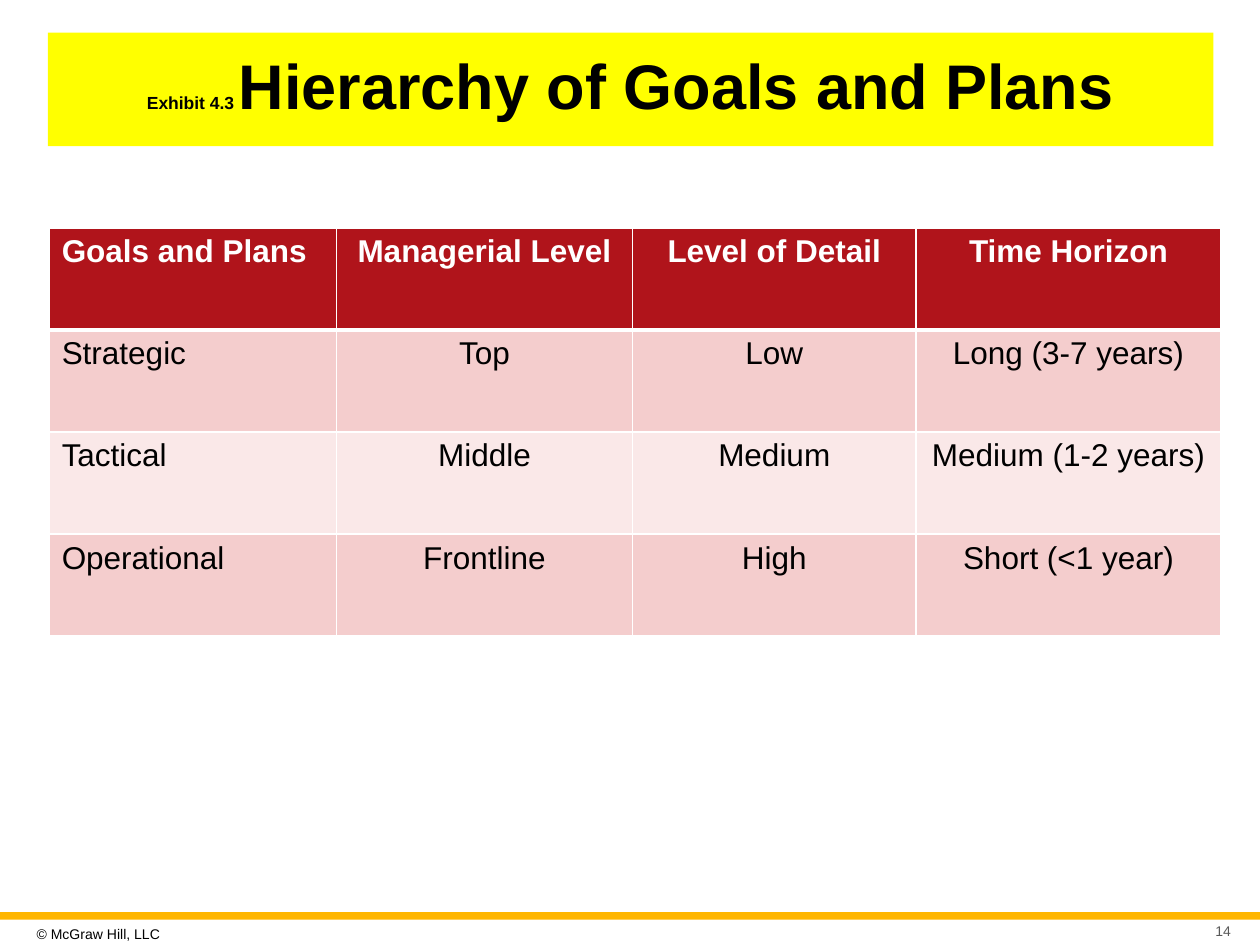
from lxml import etree
from pptx import Presentation
from pptx.dml.color import RGBColor
from pptx.enum.shapes import MSO_SHAPE
from pptx.enum.text import MSO_ANCHOR, MSO_AUTO_SIZE, PP_ALIGN
from pptx.oxml.ns import qn
from pptx.util import Emu, Pt

PX = 9144
TITLE_ONLY = 5
RECTANGLE = MSO_SHAPE.RECTANGLE
MIDDLE = MSO_ANCHOR.MIDDLE
NO_AUTOFIT = MSO_AUTO_SIZE.NONE
LEFT, CENTER, RIGHT = PP_ALIGN.LEFT, PP_ALIGN.CENTER, PP_ALIGN.RIGHT

FONT = "Arial"
BLACK = RGBColor(0x00, 0x00, 0x00)
WHITE = RGBColor(0xFF, 0xFF, 0xFF)
GRAY = RGBColor(0x59, 0x59, 0x59)
YELLOW = RGBColor(0xFF, 0xFF, 0x00)
GOLD = RGBColor(0xFF, 0xB6, 0x00)
HEADER_RED = RGBColor(0xB0, 0x14, 0x1B)
PINK = RGBColor(0xF4, 0xCD, 0xCD)
PALE_PINK = RGBColor(0xFA, 0xE8, 0xE8)

COLUMN_WIDTHS = [228, 235, 225, 242]
ROW_HEIGHT = 81
GOALS_AND_PLANS = [
    ["Goals and Plans", "Managerial Level", "Level of Detail", "Time Horizon"],
    ["Strategic", "Top", "Low", "Long (3-7 years)"],
    ["Tactical", "Middle", "Medium", "Medium (1-2 years)"],
    ["Operational", "Frontline", "High", "Short (<1 year)"],
]


def px(length):
    """Turn a length in px into EMU."""
    return Emu(length * PX)


def add_text(paragraph, text, size=18, color=BLACK, bold=False, align=LEFT):
    """Append a formatted run to a paragraph."""
    paragraph.alignment = align
    run = paragraph.add_run()
    run.text = text
    run.font.name = FONT
    run.font.size = Pt(size)
    run.font.bold = bold
    run.font.color.rgb = color


def add_label(slide, left, top, width, height, text, **text_format):
    """Add a small one-line text box."""
    label = slide.shapes.add_textbox(px(left), px(top), px(width), px(height))
    frame = label.text_frame
    frame.word_wrap = True
    frame.vertical_anchor = MIDDLE
    frame.margin_left = frame.margin_right = px(5)
    frame.margin_top = frame.margin_bottom = px(5)
    add_text(frame.paragraphs[0], text, **text_format)


def add_title(slide, left, top, width, height):
    """Place the title placeholder as a yellow band."""
    title = slide.shapes.title
    title.left, title.top = px(left), px(top)
    title.width, title.height = px(width), px(height)
    title.fill.solid()
    title.fill.fore_color.rgb = YELLOW
    frame = title.text_frame
    frame.word_wrap = True
    frame.auto_size = NO_AUTOFIT
    frame.vertical_anchor = MIDDLE
    paragraph = frame.paragraphs[0]
    paragraph.line_spacing = 0.9
    add_text(paragraph, "Exhibit 4.3 ", size=10, bold=True, align=CENTER)
    add_text(paragraph, "Hierarchy of Goals and Plans", size=36, bold=True, align=CENTER)


def set_borders(cell, **widths):
    """Draw white cell borders with the given widths in points."""
    properties = cell._tc.get_or_add_tcPr()
    for side in ("lnL", "lnR", "lnT", "lnB"):
        line = etree.SubElement(properties, qn(f"a:{side}"), w=str(Pt(widths.get(side, 1))))
        fill = etree.SubElement(line, qn("a:solidFill"))
        etree.SubElement(fill, qn("a:srgbClr"), val=str(WHITE))


def add_goals_table(slide, left, top):
    """Add the table of goals and plans with its header and banded rows."""
    row_count, column_count = len(GOALS_AND_PLANS), len(COLUMN_WIDTHS)
    table = slide.shapes.add_table(
        row_count, column_count, px(left), px(top),
        px(sum(COLUMN_WIDTHS)), px(ROW_HEIGHT * row_count),
    ).table
    for column, width in zip(table.columns, COLUMN_WIDTHS):
        column.width = px(width)
    for row_index, texts in enumerate(GOALS_AND_PLANS):
        table.rows[row_index].height = px(ROW_HEIGHT)
        is_header = row_index == 0
        band = PINK if row_index % 2 else PALE_PINK
        for column_index, text in enumerate(texts):
            cell = table.cell(row_index, column_index)
            set_borders(cell, lnT=3 if row_index == 1 else 1, lnB=3 if is_header else 1)
            cell.fill.solid()
            cell.fill.fore_color.rgb = HEADER_RED if is_header else band
            add_text(
                cell.text_frame.paragraphs[0], text, bold=is_header,
                color=WHITE if is_header else BLACK,
                align=CENTER if column_index else LEFT,
            )


def add_footer(slide, left, top, width):
    """Add the gold rule, the copyright line and the slide number."""
    rule = slide.shapes.add_shape(RECTANGLE, px(left), px(top), px(width), px(6))
    rule.shadow.inherit = False
    rule.fill.solid()
    rule.fill.fore_color.rgb = GOLD
    rule.line.fill.background()
    add_label(slide, left + 24, top + 5, 135, 24, "© McGraw Hill, LLC", size=8)
    add_label(slide, left + width - 57, top + 6, 39, 18, "14", size=8, color=GRAY, align=RIGHT)


def main():
    """Build and save the slide."""
    presentation = Presentation()
    presentation.slide_width, presentation.slide_height = px(1000), px(750)
    slide = presentation.slides.add_slide(presentation.slide_layouts[TITLE_ONLY])
    add_footer(slide, 0, 724, 1000)
    add_title(slide, 38, 26, 925, 90)
    add_goals_table(slide, 39, 181)
    presentation.save("out.pptx")


if __name__ == "__main__":
    main()
